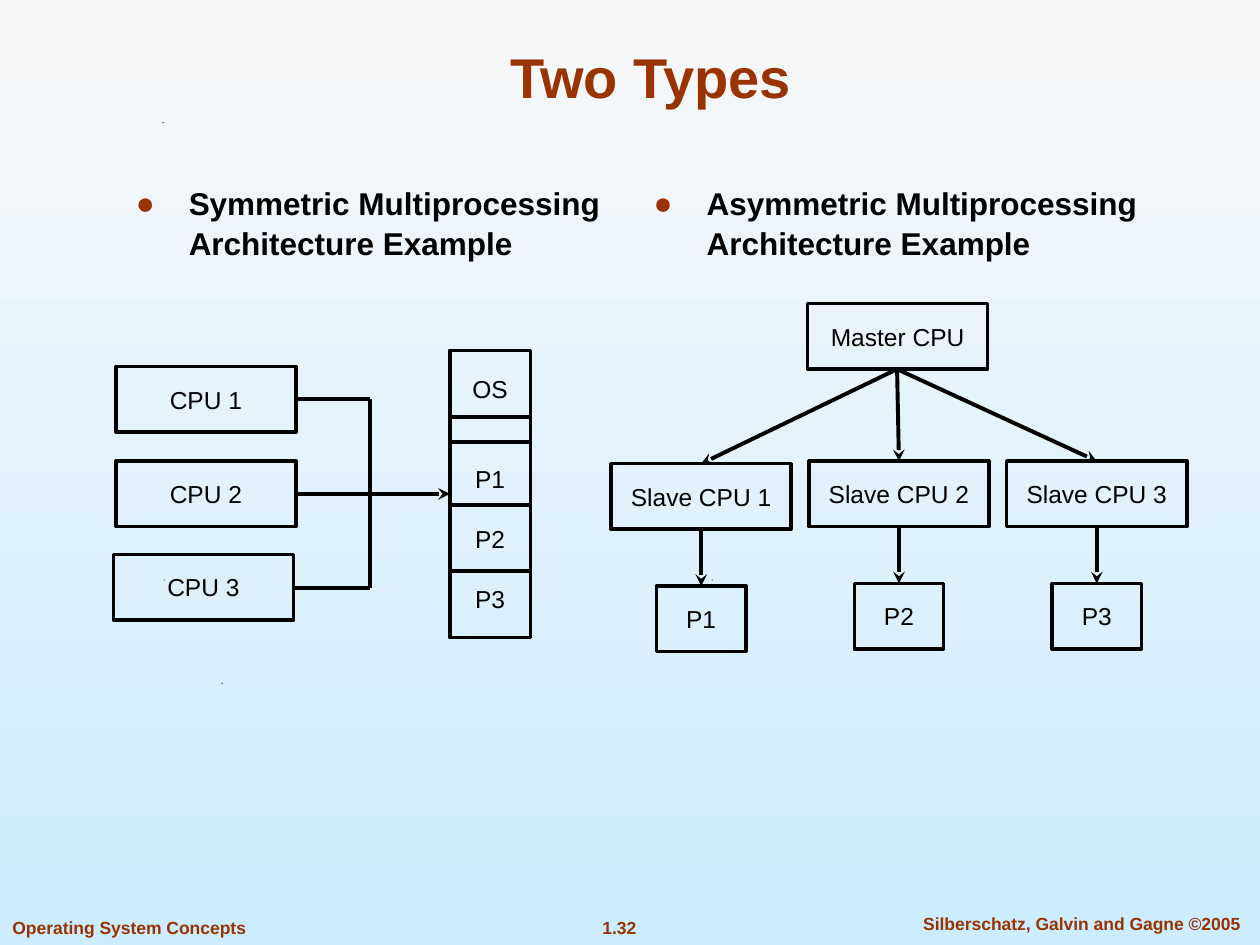
from dataclasses import dataclass

from lxml import etree
from pptx import Presentation
from pptx.dml.color import RGBColor
from pptx.enum.shapes import MSO_CONNECTOR as CONN, MSO_SHAPE as SHAPE
from pptx.enum.text import MSO_ANCHOR as ANCHOR, PP_ALIGN as ALIGN
from pptx.oxml.ns import qn
from pptx.util import Inches, Pt

COLORS = {"ink": "000000", "rust": "993300", "top": "F8F8F8", "bottom": "CCECFF"}
BOX_W, BOX_H, LEAF_W = 1.43, 0.52, 0.71
MASTER_FOOT = (7.12, 2.93)


def rgb(name: str) -> RGBColor:
    return RGBColor.from_string(COLORS[name])


@dataclass
class Box:
    text: str
    x: float
    y: float
    w: float = BOX_W
    h: float = BOX_H


@dataclass
class Line:
    x1: float
    y1: float
    x2: float
    y2: float
    arrow: bool = False


def write(p, text: str, size: float, bold=False, color="ink", align=ALIGN.CENTER) -> None:
    p.alignment = align
    r = p.add_run()
    r.text = text
    for name, value in {"name": "Arial", "size": Pt(size), "bold": bold}.items():
        setattr(r.font, name, value)
    r.font.color.rgb = rgb(color)


def add_box(s, box: Box):
    sp = s.shapes.add_shape(SHAPE.RECTANGLE, *map(Inches, (box.x, box.y, box.w, box.h)))
    sp.shadow.inherit = False
    sp.fill.background()
    sp.line.color.rgb = rgb("ink")
    sp.line.width = Pt(2)
    tf = sp.text_frame
    tf.vertical_anchor = ANCHOR.MIDDLE
    write(tf.paragraphs[0], box.text, 14)
    return sp


def add_line(s, line: Line) -> None:
    ends = map(Inches, (line.x1, line.y1, line.x2, line.y2))
    cxn = s.shapes.add_connector(CONN.STRAIGHT, *ends)
    cxn.line.color.rgb = rgb("ink")
    cxn.line.width = Pt(2.25)
    if line.arrow:
        ln = cxn.line._get_or_add_ln()
        etree.SubElement(ln, qn("a:tailEnd"), type="stealth")
    etree.SubElement(cxn._element.spPr, qn("a:effectLst"))


def add_text(s, box: Box, wrap=True):
    tf = s.shapes.add_textbox(*map(Inches, (box.x, box.y, box.w, box.h))).text_frame
    tf.word_wrap = wrap
    return tf.paragraphs[0]


def add_bullet(s, box: Box) -> None:
    p = add_text(s, box)
    p.space_before = Pt(9.8)
    p.line_spacing = 1.05
    write(p, box.text, 18, bold=True, align=ALIGN.LEFT)
    pPr = p._p.get_or_add_pPr()
    pPr.set("marL", str(Inches(0.5)))
    pPr.set("indent", str(Inches(-0.42)))
    clr = etree.SubElement(pPr, qn("a:buClr"))
    etree.SubElement(clr, qn("a:srgbClr"), val=COLORS["rust"])
    etree.SubElement(pPr, qn("a:buFont"), typeface="Arial")
    etree.SubElement(pPr, qn("a:buChar"), char="●")


def add_speck(s, x: float, y: float) -> None:
    fb = s.shapes.build_freeform(Inches(x), Inches(y))
    fb.add_line_segments([(Inches(x + 0.01), Inches(y)), (Inches(x), Inches(y + 0.01))])
    sp = fb.convert_to_shape()
    sp.shadow.inherit = False
    sp.fill.solid()
    sp.fill.fore_color.rgb = rgb("ink")
    sp.line.fill.background()


def add_background(s) -> None:
    fill = s.background.fill
    fill.gradient()
    fill.gradient_angle = 270
    for stop, name in zip(fill.gradient_stops, ("top", "bottom")):
        stop.color.rgb = rgb(name)


def add_title(s, box: Box) -> None:
    sp = s.shapes.title
    for name in ("left", "top", "width", "height"):
        setattr(sp, name, Inches(getattr(box, {"left": "x", "top": "y"}.get(name, name[0]))))
    sp.text_frame.vertical_anchor = ANCHOR.BOTTOM
    write(sp.text_frame.paragraphs[0], box.text, 32, bold=True, color="rust")


def add_symmetric(s) -> None:
    for i, (x, y) in enumerate([(0.92, 2.91), (0.92, 3.66), (0.9, 4.4)], 1):
        add_box(s, Box(f"CPU {i}", x, y))

    # Shared memory, with the processes spaced down the column
    memory = add_box(s, Box("OS", 3.57, 2.78, 0.64, 2.28))
    for text, gap in (("P1", 34.3), ("P2", 17.5), ("P3", 17.5)):
        p = memory.text_frame.add_paragraph()
        p.space_before = Pt(gap)
        write(p, text, 14)
    for y in (3.31, 3.51, 4.01, 4.53):
        add_line(s, Line(3.58, y, 4.21, y))

    # Bus from the processors to memory
    for y in (3.17, 4.67):
        add_line(s, Line(2.34, y, 2.94, y))
    add_line(s, Line(2.94, 3.17, 2.94, 4.67))
    add_line(s, Line(2.34, 3.92, 3.57, 3.92, arrow=True))


def add_asymmetric(s) -> None:
    add_box(s, Box("Master CPU", 6.41, 2.41))
    for i, y in enumerate((3.68, 3.66, 3.66)):
        x = 4.85 + 1.57 * i
        mid, leaf_y = x + BOX_W / 2, y + 0.97
        add_box(s, Box(f"Slave CPU {i + 1}", x, y))
        add_box(s, Box(f"P{i + 1}", mid - LEAF_W / 2, leaf_y, LEAF_W))
        add_line(s, Line(*MASTER_FOOT, mid, y, arrow=True))
        add_line(s, Line(mid, y + BOX_H, mid, leaf_y, arrow=True))


def main() -> None:
    prs = Presentation()
    prs.slide_width, prs.slide_height = Inches(10), Inches(7.5)
    s = prs.slides.add_slide(prs.slide_layouts[5])
    add_background(s)

    # Footer and background specks
    for box, align in (
        (Box("1.32", 4.67, 7.23, 0.49, 0.27), ALIGN.CENTER),
        (Box("Silberschatz, Galvin and Gagne ©2005", 7.1, 7.2, 2.97, 0.27), ALIGN.CENTER),
        (Box("Operating System Concepts", 0, 7.23, 2.21, 0.27), ALIGN.LEFT),
    ):
        write(add_text(s, box, wrap=False), box.text, 10, True, "rust", align)
    for x, y in ((1.76, 5.42), (1.3, 4.6), (5.65, 4.6), (1.29, 0.97)):
        add_speck(s, x, y)

    # Title and headings
    add_title(s, Box("Two Types", 0.75, 0.25, 8.83, 0.67))
    add_bullet(s, Box("Symmetric Multiprocessing Architecture Example", 0.9, 1.4, 4.1, 4.99))
    add_bullet(s, Box("Asymmetric Multiprocessing Architecture Example", 5.01, 1.4, 4.24, 4.9))

    # Diagrams
    add_symmetric(s)
    add_asymmetric(s)
    prs.save("out.pptx")


if __name__ == "__main__":
    main()
